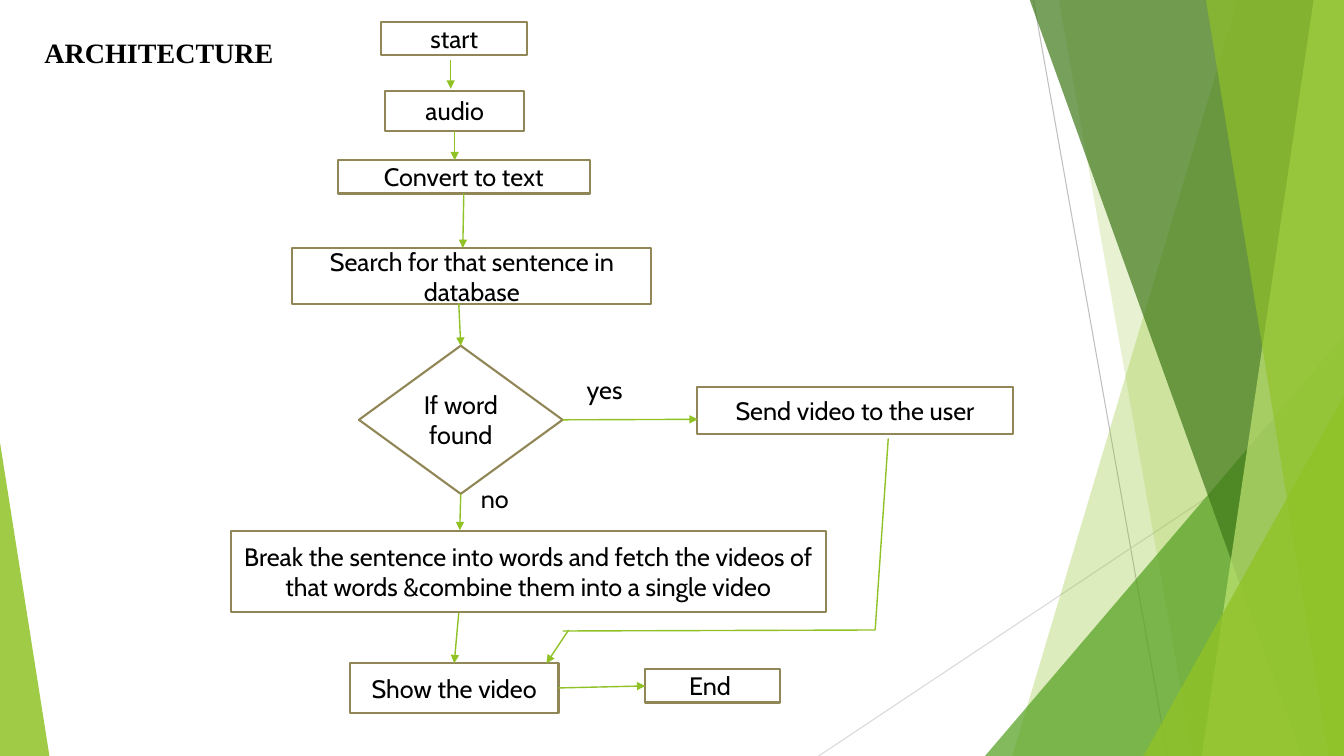
from lxml.etree import SubElement
from pptx import Presentation
from pptx.dml.color import RGBColor
from pptx.enum.shapes import MSO_CONNECTOR, MSO_SHAPE
from pptx.enum.text import MSO_ANCHOR, MSO_AUTO_SIZE, PP_ALIGN
from pptx.oxml.ns import qn
from pptx.util import Inches, Pt

WIDE, HIGH, TOP = 13.33, 7.5, -0.01
LIME, BROWN, WHITE, BLACK = "90C226", "918655", "FFFFFF", "000000"
FONT = "Cabin"

# Four corners of each band: top left, top right, bottom right, bottom left
PALE = [(12.28, WIDE, WIDE, 10.04, LIME, 30), (10.5, WIDE, WIDE, 11.83, LIME, 20)]
DEEP = [
    (10.21, WIDE, WIDE, 12.91, "3F7819", 70),
    (13.03, WIDE, WIDE, 11.92, "C0E474", 70),
    (11.96, WIDE, WIDE, 13.18, LIME, 65),
]

STEPS = {
    "start": ("start", 3.78, 0.22, 1.45, 0.33),
    "audio": ("audio", 3.82, 0.9, 1.38, 0.4),
    "convert": ("Convert to text", 3.35, 1.59, 2.5, 0.33),
    "search": ("Search for that sentence in database", 2.9, 2.46, 3.56, 0.56),
    "found": ("If word found", 3.56, 3.43, 2.02, 1.47),
    "send": ("Send video to the user", 6.91, 3.84, 3.14, 0.47),
    "split": (
        "Break the sentence into words and fetch the videos of that words "
        "&combine them into a single video", 2.29, 5.27, 5.9, 0.8),
    "show": ("Show the video", 3.47, 6.58, 2.07, 0.49),
    "end": ("End ", 6.4, 6.64, 1.34, 0.33),
}

# Start point, end point, joined start (step, side), joined end (step, side)
ARROWS = [
    ((4.47, 0.6), (4.47, 0.88), None, None),
    ((4.51, 1.3), (4.51, 1.59), ("audio", 2), None),
    ((4.6, 1.92), (4.59, 2.46), ("convert", 2), None),
    ((4.55, 3.01), (4.55, 3.41), None, ("found", 0)),
    ((5.57, 4.16), (6.92, 4.16), ("found", 3), None),
    ((4.56, 4.9), (4.56, 5.26), ("found", 2), None),
    ((4.55, 6.08), (4.51, 6.58), None, ("show", 0)),
    ((5.54, 6.84), (6.36, 6.84), ("show", 3), ("end", 1)),
    ((5.64, 6.25), (5.42, 6.58), None, None),
]
BENDS = [((8.81, 4.35), (8.68, 6.25)), ((8.68, 6.25), (5.58, 6.26))]


def tint(fmt, color, alpha=100):
    """Set a solid colour, with its opacity in percent."""
    fmt.solid()
    fmt.fore_color.rgb = RGBColor.from_string(color)
    if alpha < 100:
        node = fmt.fore_color._xFill.find(qn("a:srgbClr"))
        SubElement(node, qn("a:alpha"), val=str(alpha * 1000))


def write(shape, text, size=18, font=FONT, color=BLACK, bold=False,
          align=PP_ALIGN.LEFT, anchor=MSO_ANCHOR.TOP, grow=False):
    frame = shape.text_frame
    frame.word_wrap = True
    frame.vertical_anchor = anchor
    frame.auto_size = MSO_AUTO_SIZE.SHAPE_TO_FIT_TEXT if grow else MSO_AUTO_SIZE.NONE
    par = frame.paragraphs[0]
    par.alignment = align
    run = par.add_run()
    run.text = text
    run.font.size, run.font.name, run.font.bold = Pt(size), font, bold
    run.font.color.rgb = RGBColor.from_string(color)


def add_line(slide, start, end, color=LIME, width=1, head=False):
    ends = [Inches(v) for v in (*start, *end)]
    line = slide.shapes.add_connector(MSO_CONNECTOR.STRAIGHT, *ends)
    tint(line.line.fill, color)
    line.line.width = Pt(width)
    if head:
        SubElement(line.line._get_or_add_ln(), qn("a:tailEnd"), type="triangle")
    SubElement(line._element.spPr, qn("a:effectLst"))
    return line


def add_band(slide, left, right, low_right, low_left, color, alpha):
    spots = [(Inches(x), Inches(y)) for x, y in
             ((left, TOP), (right, TOP), (low_right, HIGH), (low_left, HIGH))]
    pen = slide.shapes.build_freeform(*spots[0])
    pen.add_line_segments(spots[1:], close=True)
    band = pen.convert_to_shape()
    tint(band.fill, color, alpha)
    band.line.fill.background()
    band.shadow.inherit = False


def add_wedge(slide, left, top, width, peak, color, alpha):
    """Add a right triangle standing on the bottom edge."""
    box = [Inches(v) for v in (left, top, width, HIGH - top)]
    wedge = slide.shapes.add_shape(MSO_SHAPE.ISOSCELES_TRIANGLE, *box)
    wedge.adjustments[0] = peak
    tint(wedge.fill, color, alpha)
    wedge.line.fill.background()
    wedge.shadow.inherit = False


def add_step(slide, text, *box, kind=MSO_SHAPE.RECTANGLE):
    step = slide.shapes.add_shape(kind, *[Inches(v) for v in box])
    tint(step.fill, WHITE)
    tint(step.line.fill, BROWN)
    step.line.width = Pt(1.5)
    step.shadow.inherit = False
    write(step, text, align=PP_ALIGN.CENTER, anchor=MSO_ANCHOR.MIDDLE)
    return step


def add_label(slide, text, *box):
    write(slide.shapes.add_textbox(*[Inches(v) for v in box]), text, grow=True)


def add_decor(slide):
    add_line(slide, (10.25, 0), (11.58, HIGH), "BFBFBF", 0.75)
    add_line(slide, (WIDE, 4.03), (8.12, HIGH), "D9D9D9", 0.75)
    for band in PALE:
        add_band(slide, *band)
    add_wedge(slide, 9.77, 3.33, 3.56, 1, "54A021", 72)
    for band in DEEP:
        add_band(slide, *band)
    add_wedge(slide, 11.34, 3.93, 1.99, 1, LIME, 80)
    add_wedge(slide, 0, 4.39, 0.49, 0, LIME, 85)


def add_flow(slide):
    steps = {}
    for name, spot in STEPS.items():
        kind = MSO_SHAPE.DIAMOND if name == "found" else MSO_SHAPE.RECTANGLE
        steps[name] = add_step(slide, *spot, kind=kind)
    for start, end in BENDS:
        add_line(slide, start, end)
    for start, end, source, target in ARROWS:
        arrow = add_line(slide, start, end, head=True)
        if source:
            arrow.begin_connect(steps[source[0]], source[1])
        if target:
            arrow.end_connect(steps[target[0]], target[1])
    add_label(slide, "yes", 5.72, 3.66, 0.75, 0.4)
    add_label(slide, "no", 4.67, 4.75, 0.65, 0.4)


def main():
    deck = Presentation()
    deck.slide_width, deck.slide_height = Inches(WIDE), Inches(HIGH)
    slide = deck.slides.add_slide(deck.slide_layouts[5])
    add_decor(slide)
    title = slide.shapes.title
    title.left, title.top = Inches(0.34), Inches(0.3)
    title.width, title.height = Inches(2.92), Inches(0.44)
    write(title, "ARCHITECTURE", size=20, font="Times New Roman", bold=True, grow=True)
    add_flow(slide)
    deck.save("out.pptx")


if __name__ == "__main__":
    main()
